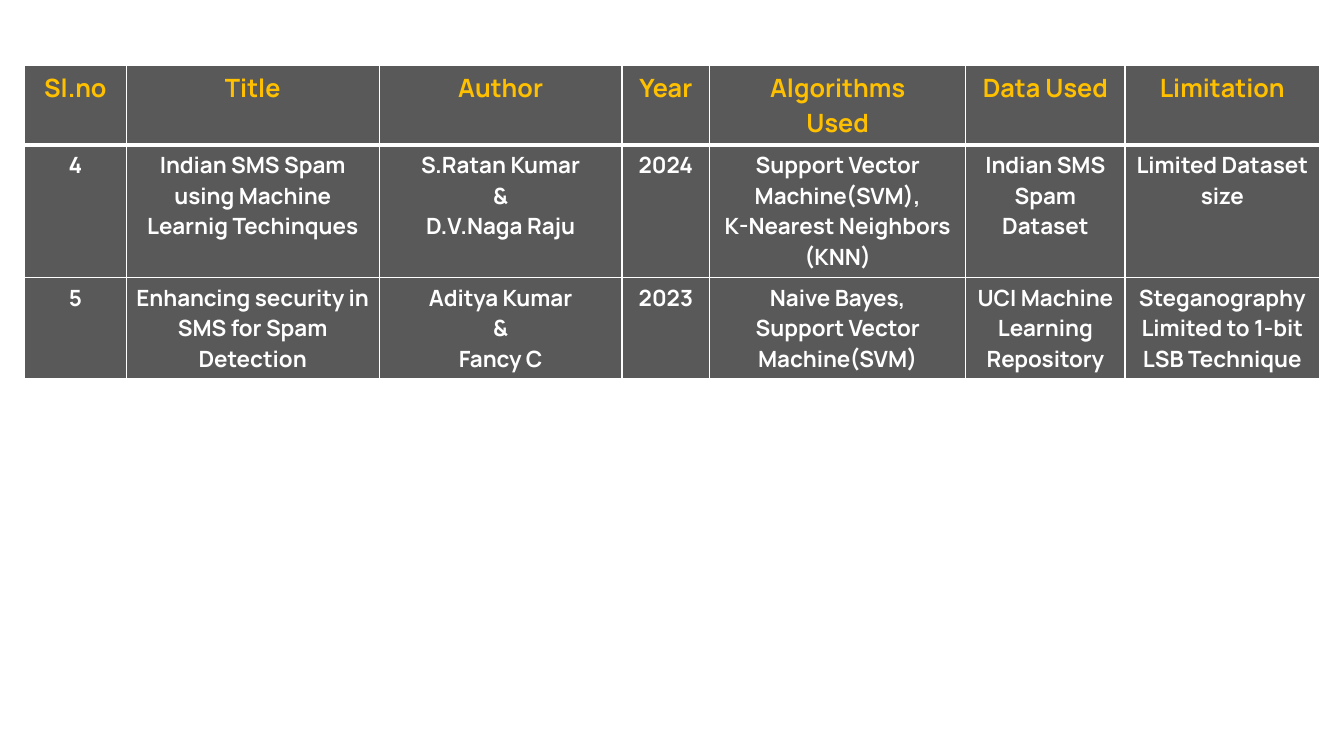
from pptx import Presentation
from pptx.dml.color import RGBColor
from pptx.enum.text import PP_ALIGN as Align
from pptx.oxml import parse_xml
from pptx.oxml.ns import nsdecls
from pptx.util import Pt

FONT = "Manrope"
GRAY, GOLD, WHITE = "595959", "FFC000", "FFFFFF"
WIDTHS = [72.7, 180.7, 173.5, 62.6, 182.9, 113.8, 139]
HEIGHTS = [56, 94, 72]
ROWS = [
    ["Sl.no", "Title", "Author", "Year", "Algorithms\nUsed", "Data Used",
     "Limitation"],
    ["4", "Indian SMS Spam using Machine Learnig Techinques",
     "S.Ratan Kumar\n&\nD.V.Naga Raju", "2024",
     "Support Vector Machine(SVM),\nK-Nearest Neighbors\n(KNN)",
     "Indian SMS Spam\nDataset", "Limited Dataset size"],
    ["5", "Enhancing security in\nSMS for Spam Detection",
     "Aditya Kumar\n&\nFancy C", "2023",
     "Naive Bayes,\nSupport Vector Machine(SVM)",
     "UCI Machine Learning Repository",
     "Steganography\nLimited to 1-bit LSB Technique"],
]


def color(code):
    return RGBColor.from_string(code)


def border(cell, side, width):
    line = parse_xml(
        f'<a:{side} {nsdecls("a")} w="{Pt(width)}"><a:solidFill>'
        f'<a:srgbClr val="{WHITE}"/></a:solidFill></a:{side}>')
    cell._tc.get_or_add_tcPr().append(line)


def style(cell, text, size, ink, top, bottom):
    # Borders come before the fill in the cell properties
    for side, width in (("lnL", 1), ("lnR", 1), ("lnT", top), ("lnB", bottom)):
        border(cell, side, width)
    cell.fill.solid()
    cell.fill.fore_color.rgb = color(GRAY)
    cell.text = text
    for para in cell.text_frame.paragraphs:
        para.alignment = Align.CENTER
        font = para.font
        font.name, font.size, font.bold = FONT, Pt(size), True
        font.color.rgb = color(ink)


def add_grid(slide, left, top):
    frame = slide.shapes.add_table(
        len(ROWS), len(WIDTHS), Pt(left), Pt(top),
        Pt(sum(WIDTHS)), Pt(sum(HEIGHTS)))
    table = frame.table
    for col, width in zip(table.columns, WIDTHS):
        col.width = Pt(width)
    for row, height in zip(table.rows, HEIGHTS):
        row.height = Pt(height)
    # Gold header over white body rows, parted by a thick line
    for i, texts in enumerate(ROWS):
        size, ink = (18, GOLD) if i == 0 else (16, WHITE)
        above, below = (3 if i == 1 else 1), (3 if i == 0 else 1)
        for j, text in enumerate(texts):
            style(table.cell(i, j), text, size, ink, above, below)


def main():
    deck = Presentation()
    deck.slide_width, deck.slide_height = Pt(960), Pt(540)
    slide = deck.slides.add_slide(deck.slide_layouts[6])
    add_grid(slide, 17.5, 47)
    deck.save("out.pptx")


if __name__ == "__main__":
    main()
